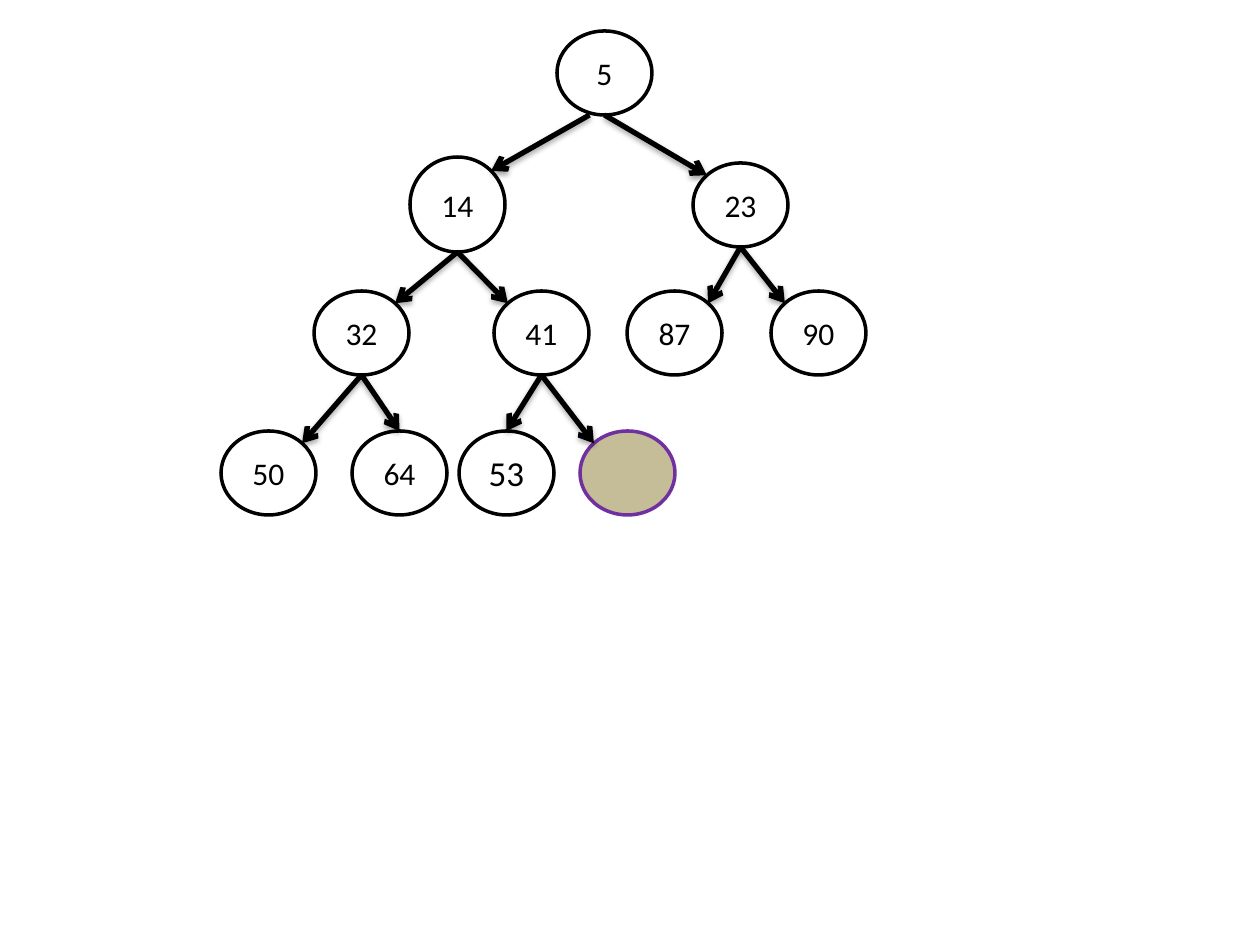
import math

import lxml.etree
import pptx
import pptx.dml.color
import pptx.enum.shapes
import pptx.enum.text
import pptx.oxml
import pptx.oxml.ns
import pptx.util

PIXEL = pptx.util.Inches(1) / 126
BLACK = pptx.dml.color.RGBColor(0x00, 0x00, 0x00)
WHITE = pptx.dml.color.RGBColor(0xFF, 0xFF, 0xFF)
TAN = pptx.dml.color.RGBColor(0xC4, 0xBD, 0x97)
PURPLE = pptx.dml.color.RGBColor(0x70, 0x30, 0xA0)

NODE_WIDTH, NODE_HEIGHT = 95, 84
LEVEL_TOPS = [31, 163, 291, 431]

# Node key: (level, left)
NODES = {
    "5": (0, 557),
    "14": (1, 410), "23": (1, 693),
    "32": (2, 314), "41": (2, 494), "87": (2, 627), "90": (2, 771),
    "50": (3, 221), "64": (3, 352), "53": (3, 459), "": (3, 580),
}

# Parent, child, point of the child where the arrow ends
EDGES = [
    ("5", "14", "right"), ("5", "23", "left"),
    ("14", "32", "right"), ("14", "41", "left"),
    ("23", "87", "right"), ("23", "90", "left"),
    ("32", "50", "right"), ("32", "64", "top"),
    ("41", "53", "top"), ("41", "", "left"),
]

SHADOW = (
    '<a:effectLst %s><a:outerShdw blurRad="40000" dist="23000" dir="5400000" rotWithShape="0">'
    '<a:srgbClr val="000000"><a:alpha val="35000"/></a:srgbClr>'
    '</a:outerShdw></a:effectLst>' % pptx.oxml.ns.nsdecls("a")
)


def pixels(value):
    return pptx.util.Emu(round(value * PIXEL))


def node_box(key):
    level, left = NODES[key]
    if key == "14":  # a full circle, slightly taller than the others
        return left, 157, NODE_WIDTH, NODE_WIDTH
    return left, LEVEL_TOPS[level], NODE_WIDTH, NODE_HEIGHT


def add_node(slide, key):
    shape = slide.shapes.add_shape(
        pptx.enum.shapes.MSO_SHAPE.OVAL, *map(pixels, node_box(key)))
    shape.shadow.inherit = False
    shape.fill.solid()
    shape.fill.fore_color.rgb = WHITE if key else TAN
    shape.line.color.rgb = BLACK if key else PURPLE
    shape.line.width = pptx.util.Pt(2)
    if key:
        shape.text_frame.vertical_anchor = pptx.enum.text.MSO_ANCHOR.MIDDLE
        paragraph = shape.text_frame.paragraphs[0]
        paragraph.text = key
        paragraph.alignment = pptx.enum.text.PP_ALIGN.CENTER
        paragraph.font.name = "Calibri"
        paragraph.font.size = pptx.util.Pt(20 if key == "53" else 18)
        paragraph.font.color.rgb = BLACK


def arrow_start(parent, child):
    left, top, width, height = node_box(parent)
    offset = -15 if child == "14" else 0
    return left + width / 2 + offset, top + height


def arrow_end(child, side):
    left, top, width, height = node_box(child)
    if side == "top":
        return left + width / 2, top
    # Diagonal points of the ellipse
    inset = (1 - math.sqrt(0.5)) / 2
    across = inset if side == "left" else 1 - inset
    return left + width * across, top + height * inset


def add_arrow(slide, start, end):
    connector = slide.shapes.add_connector(
        pptx.enum.shapes.MSO_CONNECTOR.STRAIGHT, *map(pixels, start + end))
    connector.line.color.rgb = BLACK
    connector.line.width = pptx.util.Pt(3)
    line = connector.line._get_or_add_ln()
    lxml.etree.SubElement(line, pptx.oxml.ns.qn("a:tailEnd"), type="arrow")
    connector._element.spPr.append(pptx.oxml.parse_xml(SHADOW))


def main():
    presentation = pptx.Presentation()
    presentation.slide_width = pptx.util.Inches(10)
    presentation.slide_height = pptx.util.Inches(7.5)
    slide = presentation.slides.add_slide(presentation.slide_layouts[6])

    # Tree nodes
    for key in NODES:
        add_node(slide, key)

    # Arrows from parents to children
    for parent, child, side in EDGES:
        add_arrow(slide, arrow_start(parent, child), arrow_end(child, side))

    presentation.save("out.pptx")


main()
